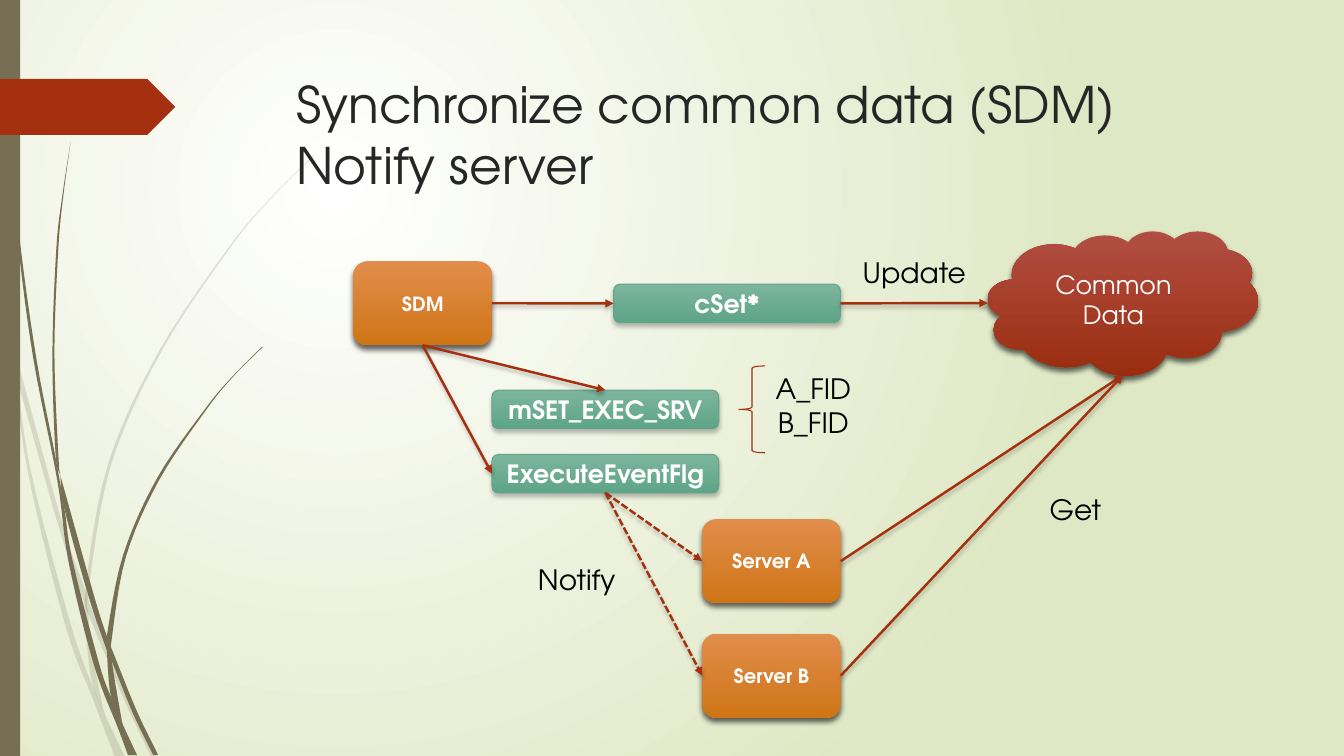
from lxml import etree
from pptx import Presentation
from pptx import util as u
from pptx.dml.color import RGBColor
from pptx.enum import dml, shapes, text
from pptx.oxml import ns

COLORS = {
    "white": "FFFFFF", "black": "000000", "title": "262626",
    "back": "DFE8C4", "grass": "766F54", "red": "A53010", "brace": "9E2E0F",
    "orange_top": "E18D4C", "orange_end": "CF7516",
    "cloud_top": "B14E43", "cloud_end": "9A2D0F",
    "green_top": "7DB59D", "green_end": "5EA588", "green_line": "65A48B",
}
FONT = "TeX Gyre Adventor"
# Opacity in percent, then blur and distance in points
DEEP_SHADOW = (60, 4, 3)
SOFT_SHADOW = (25, 3, 2)
KIND = shapes.MSO_SHAPE

# Grass blades: two edges from tip to root, in steps of 0.72 pt
PALE_BLADES = [
    ([(0, 282), (9, 322), (17, 376), (31, 469), (70, 619), (93, 683), (105, 711), (124, 751)],
     [(0, 299), (10, 344), (28, 470), (65, 621), (92, 693), (114, 751)]),
    ([(14, 345), (62, 520), (85, 586), (92, 607), (127, 692), (155, 751)],
     [(17, 376), (58, 522), (84, 599), (88, 610), (123, 694), (150, 751)]),
    ([(312, 153), (268, 197), (228, 244), (158, 348), (107, 461), (85, 584), (87, 646),
      (93, 683), (105, 711)],
     [(312, 154), (268, 198), (229, 245), (160, 349), (110, 462), (88, 584), (88, 610),
      (91, 646), (103, 706)]),
]
DARK_BLADES = [
    ([(4, 0), (5, 48), (8, 109), (19, 232), (36, 355), (55, 453), (64, 505), (72, 556),
      (98, 657), (110, 691), (122, 719), (136, 749)],
     [(3, 0), (4, 48), (7, 110), (17, 233), (33, 355), (57, 477), (68, 557), (93, 659),
      (117, 722), (127, 749)]),
    ([(60, 472), (93, 590), (106, 631), (113, 649), (136, 706), (157, 749)],
     [(60, 472), (64, 505), (88, 592), (106, 645), (111, 656), (132, 708), (152, 749)]),
    ([(70, 141), (62, 193), (56, 245), (52, 349), (55, 449), (60, 472)],
     [(70, 141), (63, 193), (58, 245), (54, 349), (58, 453), (60, 472)]),
    ([(260, 344), (231, 373), (204, 405), (156, 474), (122, 551), (106, 631), (106, 645),
      (110, 691), (122, 719)],
     [(261, 344), (231, 374), (205, 406), (158, 476), (125, 552), (111, 633), (111, 656),
      (121, 716)]),
]


def smooth(points, steps=6):
    """Points of a Catmull-Rom curve through the given points."""
    padded = [points[0], *points, points[-1]]
    curve = []
    for a, b, c, d in zip(padded, padded[1:], padded[2:], padded[3:]):
        for step in range(steps):
            t = step / steps
            curve.append(tuple(
                q + t * (r - p) / 2 + t**2 * (2 * p - 5 * q + 4 * r - s) / 2
                + t**3 * (3 * q - p - 3 * r + s) / 2
                for p, q, r, s in zip(a, b, c, d)))
    return curve + [points[-1]]


def rgb(name):
    return RGBColor.from_string(COLORS[name])


def child(parent, tag, **attributes):
    return etree.SubElement(parent, ns.qn(tag), {k: str(v) for k, v in attributes.items()})


def edge(box, side):
    """Middle of one side of a box."""
    across, down = {"left": (0, 0.5), "right": (1, 0.5), "top": (0.5, 0), "bottom": (0.5, 1)}[side]
    return int(box.left + across * box.width), int(box.top + down * box.height)


class Slide:
    def __init__(self, deck):
        self.page = deck.slides.add_slide(deck.slide_layouts[6])

    def gradient(self, fill, first, last):
        fill.gradient()
        fill.gradient_angle = 270
        for stop, name in zip(fill.gradient_stops, (first, last)):
            stop.color.rgb = rgb(name)

    def background(self, center, rim):
        self.gradient(self.page.background.fill, center, rim)
        fill = self.page._element.find(".//" + ns.qn("a:gradFill"))
        fill.remove(fill.find(ns.qn("a:lin")))
        radial = child(fill, "a:path", path="circle")
        child(radial, "a:fillToRect", l=50000, t=50000, r=100000, b=100000)

    def shadow(self, effects, look):
        opacity, blur, distance = look
        outer = child(effects, "a:outerShdw", blurRad=u.Pt(blur), dist=u.Pt(distance),
                      dir=5400000, algn="ctr", rotWithShape=0)
        color = child(outer, "a:srgbClr", val=COLORS["black"])
        child(color, "a:alpha", val=opacity * 1000)

    def set_text(self, shape, words, size, color, align, bold=False):
        frame = shape.text_frame
        frame.text = words
        for para in frame.paragraphs:
            para.alignment = align
            font = para.font
            font.name, font.size, font.bold = FONT, u.Pt(size), bold
            font.color.rgb = rgb(color)
        return frame

    def shape(self, kind, left, top, width, height, fill=None, line=None):
        shape = self.page.shapes.add_shape(kind, *map(u.Pt, (left, top, width, height)))
        return self.paint(shape, fill, line)

    def paint(self, shape, fill, line=None):
        shape.shadow.inherit = False
        if fill is None:
            shape.fill.background()
        elif isinstance(fill, tuple):
            self.gradient(shape.fill, *fill)
        else:
            shape.fill.solid()
            shape.fill.fore_color.rgb = rgb(fill)
        if line:
            shape.line.color.rgb = rgb(line)
            shape.line.width = u.Pt(0.75)
        else:
            shape.line.fill.background()
        return shape

    def blade(self, edges, opacity):
        right, left = map(smooth, edges)
        outline = [(u.Pt(0.72 * x), u.Pt(0.72 * y)) for x, y in right + left[::-1]]
        builder = self.page.shapes.build_freeform(*outline[0])
        builder.add_line_segments(outline[1:], close=True)
        shape = self.paint(builder.convert_to_shape(), "grass")
        color = shape._element.spPr.find(".//" + ns.qn("a:srgbClr"))
        child(color, "a:alpha", val=opacity * 1000)

    def node(self, kind, words, area, fill, size, line=None, look=DEEP_SHADOW, bold=True):
        box = self.shape(kind, *area, fill, line)
        self.shadow(box._element.spPr.find(ns.qn("a:effectLst")), look)
        frame = self.set_text(box, words, size, "white", text.PP_ALIGN.CENTER, bold)
        frame.vertical_anchor = text.MSO_ANCHOR.MIDDLE
        return box

    def server(self, words, left, top):
        return self.node(KIND.ROUNDED_RECTANGLE, words, (left, top, 99, 60),
                         ("orange_top", "orange_end"), 14)

    def call(self, words, left, top):
        return self.node(KIND.ROUNDED_RECTANGLE, words, (left, top, 162, 27.4),
                         ("green_top", "green_end"), 18, "green_line", SOFT_SHADOW)

    def label(self, words, left, top, width, height, size=20, color="black",
              align=text.PP_ALIGN.CENTER, wrap=False):
        box = self.page.shapes.add_textbox(*map(u.Pt, (left, top, width, height)))
        self.set_text(box, words, size, color, align).word_wrap = wrap

    def arrow(self, start, end, dashed=False):
        link = self.page.shapes.add_connector(shapes.MSO_CONNECTOR.STRAIGHT, *start, *end)
        link.line.color.rgb = rgb("red")
        link.line.width = u.Pt(1.75)
        if dashed:
            link.line.dash_style = dml.MSO_LINE.SQUARE_DOT
        child(link.line._get_or_add_ln(), "a:tailEnd", type="triangle")
        self.shadow(child(link._element.spPr, "a:effectLst"), SOFT_SHADOW)


def main():
    deck = Presentation()
    deck.slide_width, deck.slide_height = u.Pt(960), u.Pt(540)
    slide = Slide(deck)

    # Backdrop
    slide.background("white", "back")
    for blades, opacity in ((PALE_BLADES, 20), (DARK_BLADES, 100)):
        for edges in blades:
            slide.blade(edges, opacity)
    slide.shape(KIND.RECTANGLE, 0, 0, 14.4, 540, "grass")
    slide.shape(KIND.PENTAGON, 0, 56.3, 125.2, 40, "red")

    # Title
    slide.label("Synchronize common data (SDM)\vNotify server", 204.5, 49, 702, 101,
                36, "title", text.PP_ALIGN.LEFT, wrap=True)

    # Boxes
    sdm = slide.server("SDM", 252.4, 186.6)
    cloud = slide.node(KIND.CLOUD, "Common Data", (705.6, 165, 193, 103),
                       ("cloud_top", "cloud_end"), 18, bold=False)
    setter = slide.call("cSet*", 438.3, 203)
    service = slide.call("mSET_EXEC_SRV", 351.4, 278.7)
    event = slide.call("ExecuteEventFlg", 351.4, 324.6)
    servers = [slide.server("Server A", 501.6, 370.8), slide.server("Server B", 501.6, 452.6)]

    # Arrows
    slide.arrow(edge(sdm, "right"), edge(setter, "left"))
    slide.arrow(edge(setter, "right"), edge(cloud, "left"))
    slide.arrow(edge(sdm, "bottom"), edge(service, "top"))
    slide.arrow(edge(sdm, "bottom"), edge(event, "left"))
    for server in servers:
        slide.arrow(edge(event, "bottom"), edge(server, "left"), dashed=True)
        slide.arrow(edge(server, "right"), edge(cloud, "bottom"))

    # Labels
    slide.label("Update", 608.4, 178.6, 89.3, 31.5)
    slide.label("Get", 742.3, 348.5, 51.8, 31.5)
    slide.label("Notify", 376.6, 398.2, 70.6, 31.5)
    slide.shape(KIND.LEFT_BRACE, 527.8, 261.4, 18.7, 62, line="brace")
    slide.label("A_FID\nB_FID", 546.5, 262, 69, 55.7)

    deck.save("out.pptx")


if __name__ == "__main__":
    main()
